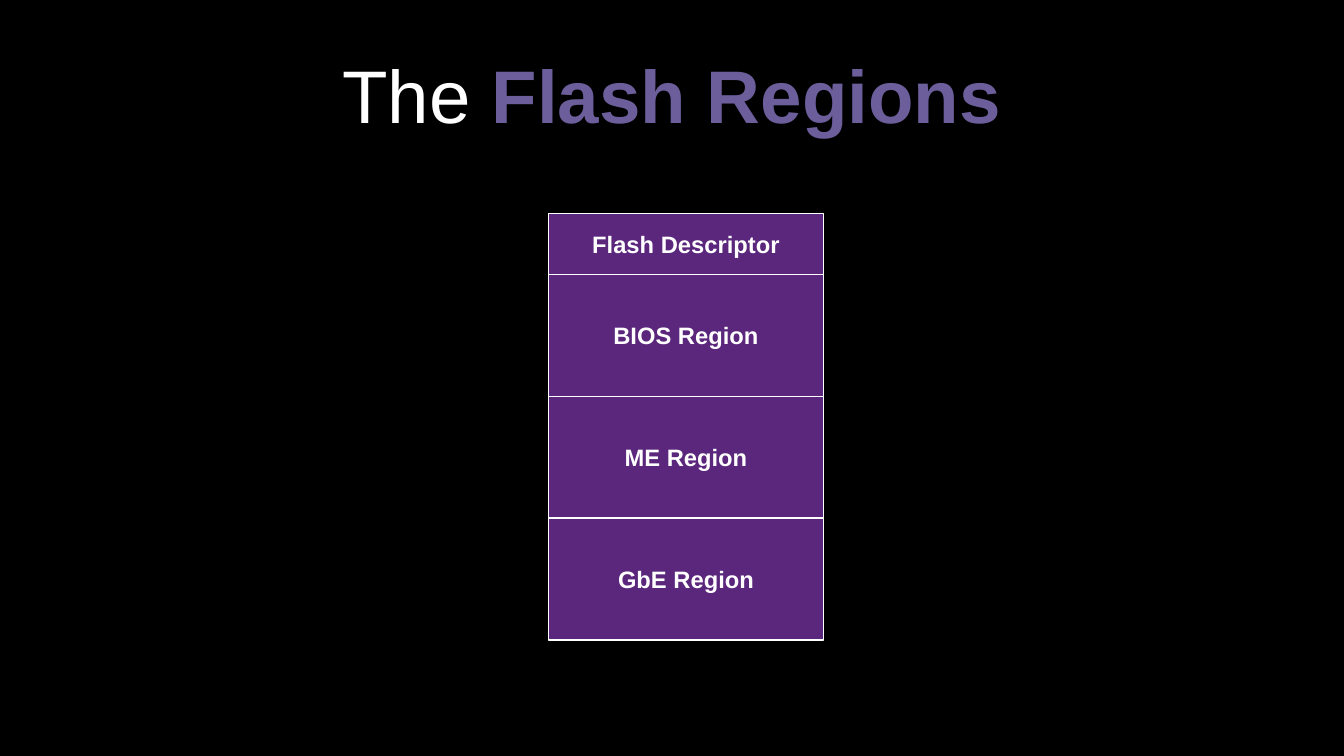
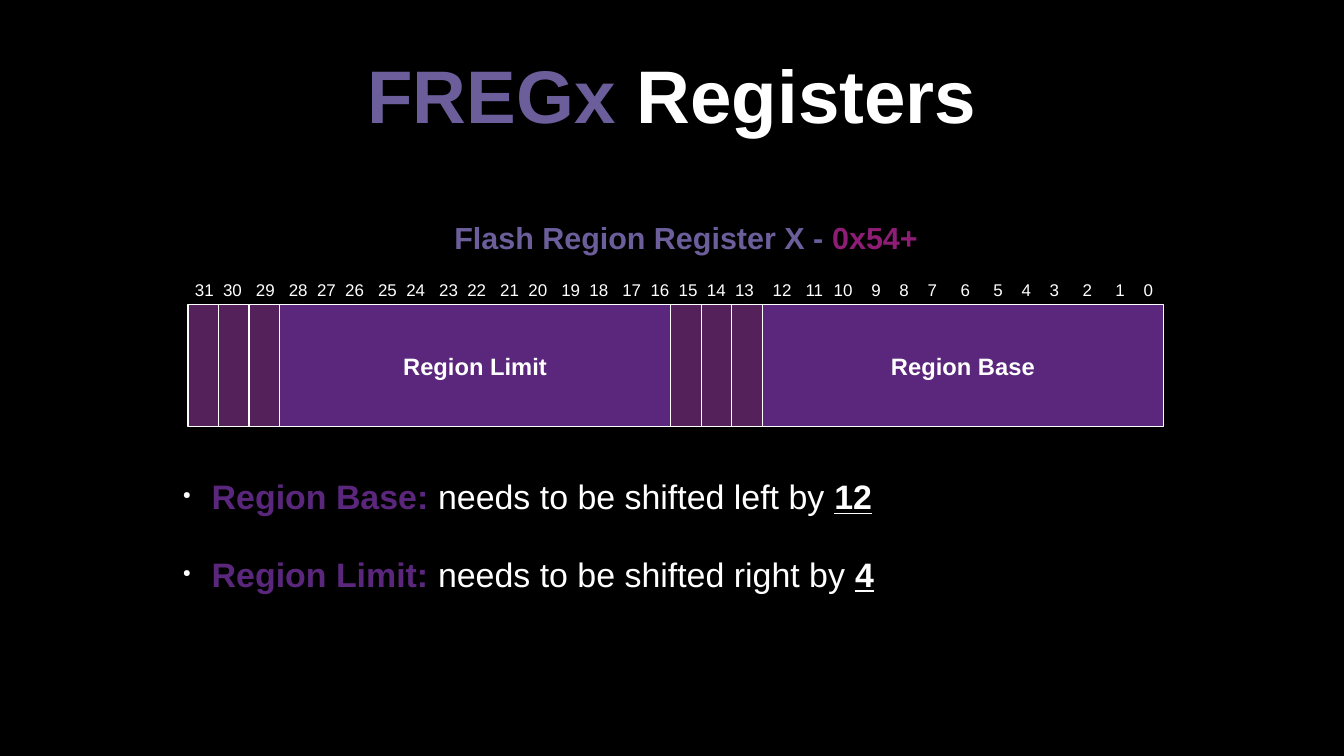
from collections import namedtuple
from dataclasses import dataclass
from itertools import accumulate

from lxml import etree
from pptx import Presentation
from pptx import util as u
from pptx.dml.color import RGBColor
from pptx.enum import shapes, text
from pptx.oxml.ns import qn

Box = namedtuple("Box", "left top width height")


@dataclass(frozen=True)
class Theme:
    font: str = "Arial"
    background: str = "000000"
    light: str = "FFFFFF"
    accent: str = "6B5E9B"
    region: str = "5B277D"
    reserved: str = "55215B"
    address: str = "8D1D75"
    title_size: float = 44
    body_size: float = 20
    caption_size: float = 18
    label_size: float = 14
    bit_size: float = 10
    outline: float = 0.79


THEME = Theme()
TITLE_BOX = Box(39.6, 18, 714.24, 75)
INSETS = (7.2, 3.6, 7.2, 3.6)
BIT_INSETS = (7.2, 3.2, 0, 3.6)
NO_INSETS = (0, 0, 0, 0)
MIDDLE = text.MSO_ANCHOR.MIDDLE
TOP = text.MSO_ANCHOR.TOP
CENTER = text.PP_ALIGN.CENTER
LEFT = text.PP_ALIGN.LEFT

BIT_GAPS = [2, 3, 3, 2, 2, 3, 2, 3, 2, 3, 2, 3, 2, 3, 2, 2,
            2, 2, 4, 3, 2, 4, 4, 4, 5, 5, 4, 4, 5, 5, 4]
DIGIT_POINTS = 5.55
SPACE_POINTS = 2.77


def apply(target, values):
    for name, value in values.items():
        setattr(target, name, value)


def points(box):
    return [u.Pt(value) for value in box]


def add_element(parent, tag, **attributes):
    element = etree.SubElement(parent, qn(tag))
    for name, value in attributes.items():
        element.set(name, str(value))
    return element


def format_frame(frame, anchor=MIDDLE, insets=INSETS):
    sides = ("margin_left", "margin_top", "margin_right", "margin_bottom")
    apply(frame, {"word_wrap": True, "vertical_anchor": anchor,
                  **dict(zip(sides, points(insets)))})


def write_runs(paragraph, runs, size, align=CENTER):
    paragraph.alignment = align
    for words, color, bold, underline in runs:
        run = paragraph.add_run()
        run.text = words
        apply(run.font, {"name": THEME.font, "size": u.Pt(size),
                         "bold": bold, "underline": underline})
        run.font.color.rgb = RGBColor.from_string(color)


def plain(words, color=THEME.light):
    return words, color, False, False


def strong(words, color=THEME.light, underline=False):
    return words, color, True, underline


def add_text(slide, box, anchor=MIDDLE, insets=INSETS):
    frame = slide.shapes.add_textbox(*points(box)).text_frame
    format_frame(frame, anchor, insets)
    return frame


def add_line_of_text(slide, box, runs, size, insets=INSETS):
    frame = add_text(slide, box, insets=insets)
    write_runs(frame.paragraphs[0], runs, size)


def add_cell(slide, box, label, fill):
    shape = slide.shapes.add_shape(shapes.MSO_SHAPE.RECTANGLE, *points(box))
    shape.shadow.inherit = False
    shape.fill.solid()
    shape.fill.fore_color.rgb = RGBColor.from_string(fill)
    shape.line.color.rgb = RGBColor.from_string(THEME.light)
    shape.line.width = u.Pt(THEME.outline)
    format_frame(shape.text_frame)
    if label:
        write_runs(shape.text_frame.paragraphs[0], [strong(label)], THEME.label_size)


def add_region_stack(slide, box, regions):
    unit = box.height / sum(share for _, share in regions)
    top = box.top
    for label, share in regions:
        add_cell(slide, Box(box.left, top, box.width, share * unit), label, THEME.region)
        top += share * unit


def add_register(slide, box, fields):
    left = box.left
    for label, width in fields:
        fill = THEME.region if label else THEME.reserved
        add_cell(slide, Box(left, box.top, width, box.height), label, fill)
        left += width


def add_bit_numbers(slide, box):
    paragraph = add_text(slide, box, anchor=TOP, insets=BIT_INSETS).paragraphs[0]
    bits = [str(bit) for bit in range(len(BIT_GAPS), -1, -1)]
    steps = [len(bit) * DIGIT_POINTS + gap * SPACE_POINTS
             for bit, gap in zip(bits, BIT_GAPS)]
    tab_list = add_element(paragraph._p.get_or_add_pPr(), "a:tabLst")
    for stop in accumulate(steps):
        add_element(tab_list, "a:tab", pos=int(u.Pt(stop)), algn="l")
    write_runs(paragraph, [plain("\t".join(bits))], THEME.bit_size, LEFT)


def add_bullets(slide, box, items):
    frame = add_text(slide, box, anchor=TOP, insets=NO_INSETS)
    for index, runs in enumerate(items):
        paragraph = frame.add_paragraph() if index else frame.paragraphs[0]
        properties = paragraph._p.get_or_add_pPr()
        properties.set("marL", str(u.Pt(17)))
        properties.set("indent", str(-u.Pt(17)))
        color = add_element(properties, "a:buClr")
        add_element(color, "a:srgbClr", val=THEME.light)
        add_element(properties, "a:buSzPct", val=30000)
        add_element(properties, "a:buChar", char="●")
        apply(paragraph, {"space_before": u.Pt(12 if index else 0),
                          "space_after": u.Pt(10)})
        write_runs(paragraph, runs, THEME.body_size, LEFT)


def add_titled_slide(presentation, title_runs):
    slide = presentation.slides.add_slide(presentation.slide_layouts[6])
    add_line_of_text(slide, TITLE_BOX, title_runs, THEME.title_size, NO_INSETS)
    return slide


def build_flash_regions(presentation):
    slide = add_titled_slide(
        presentation, [plain("The "), strong("Flash Regions", THEME.accent)])
    add_region_stack(slide, Box(324, 126, 162, 252), [
        ("Flash Descriptor", 1), ("BIOS Region", 2),
        ("ME Region", 2), ("GbE Region", 2)])


def build_registers(presentation):
    slide = add_titled_slide(
        presentation, [strong("FREGx ", THEME.accent), strong("Registers")])
    add_line_of_text(slide, Box(162, 113, 486, 54), [
        strong("Flash Region Register X - ", THEME.accent),
        strong("0x54+", THEME.address)], THEME.caption_size)
    add_bit_numbers(slide, Box(108, 162, 579, 18))
    reserved = [("", 18)] * 3
    add_register(slide, Box(111, 180, 576, 72), [
        *reserved, ("Region Limit", 231), *reserved, ("Region Base", 237)])
    add_bullets(slide, Box(108, 281, 486, 97), [
        [strong(f"{name}: ", THEME.region),
         plain(f"needs to be shifted {direction} by "),
         strong(amount, underline=True)]
        for name, direction, amount in [
            ("Region Base", "left", "12"), ("Region Limit", "right", "4")]])


def main():
    presentation = Presentation()
    apply(presentation, {"slide_width": u.Pt(793.44), "slide_height": u.Pt(446.4)})
    background = presentation.slide_master.background.fill
    background.solid()
    background.fore_color.rgb = RGBColor.from_string(THEME.background)
    build_flash_regions(presentation)
    build_registers(presentation)
    presentation.save("out.pptx")


if __name__ == "__main__":
    main()
